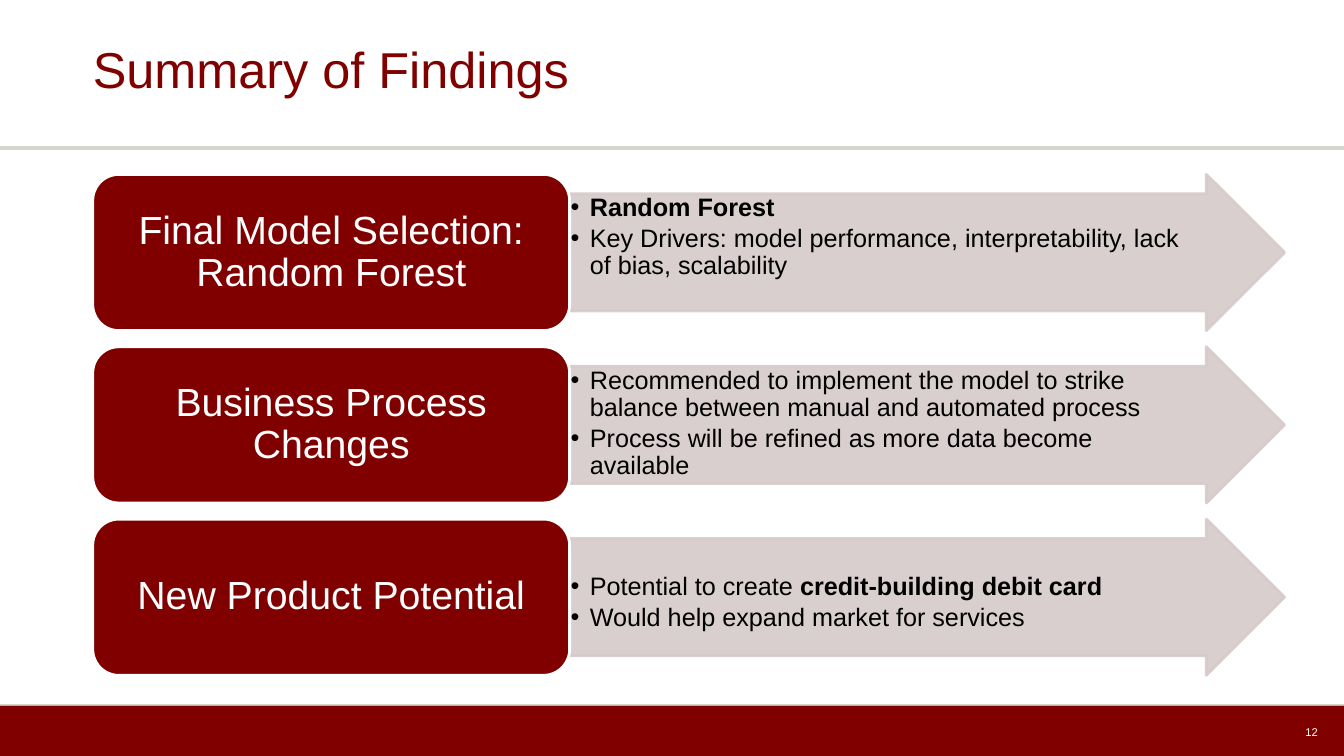
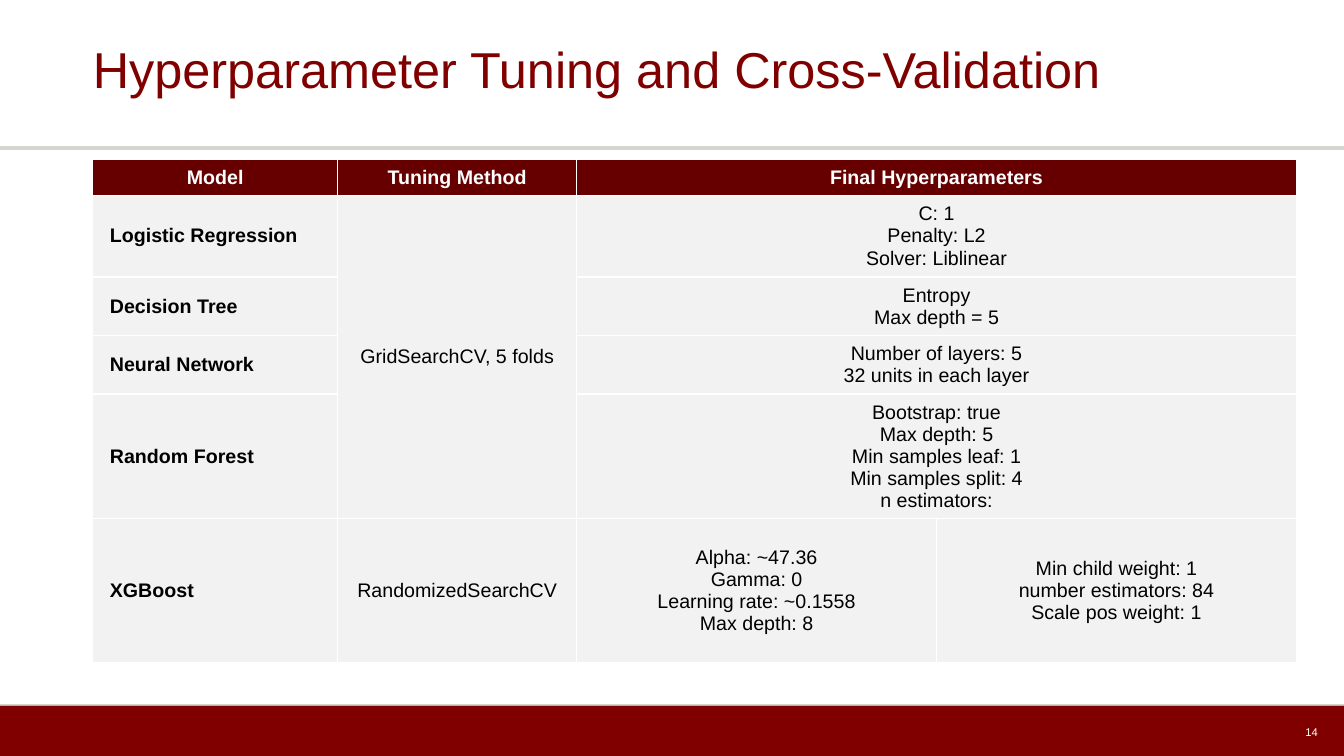
from dataclasses import dataclass
from typing import Any

import lxml.etree
import pptx
import pptx.dml.color
import pptx.enum.shapes
import pptx.enum.text
import pptx.oxml.ns
import pptx.util

Inches = pptx.util.Inches
Pt = pptx.util.Pt
RGB = pptx.dml.color.RGBColor
Align = pptx.enum.text.PP_ALIGN
Anchor = pptx.enum.text.MSO_ANCHOR
Shape = pptx.enum.shapes.MSO_SHAPE
qn = pptx.oxml.ns.qn


@dataclass(frozen=True)
class Theme:
    font: str = "Arial"
    maroon: str = "800000"
    head: str = "660000"
    rule: str = "D6D6CE"
    arrow: str = "D7CACA"
    cell: str = "F2F2F2"
    white: str = "FFFFFF"
    black: str = "000000"
    title: float = 36
    label: float = 28
    point: float = 18
    table: float = 14
    page: float = 8


THEME = Theme()
WIDTH, HEIGHT = 13.33, 7.5
LEFT = 0.92


@dataclass(frozen=True)
class Span:
    text: str
    bold: bool = False


@dataclass(frozen=True)
class Finding:
    label: str
    points: list[list[Span]]
    top: float = 0.01  # inset above the first point


@dataclass(frozen=True)
class Model:
    name: str
    tuning: str
    values: list[list[str]]
    height: float


FINDINGS = [
    Finding("Final Model Selection: Random Forest", [
        [Span("Random Forest", True)],
        [Span("Key Drivers: model performance, interpretability, lack of bias, scalability")],
    ]),
    Finding("Business Process Changes", [
        [Span("Recommended to implement the model to strike balance "
              "between manual and automated process")],
        [Span("Process will be refined as more data become available")],
    ]),
    Finding("New Product Potential", [
        [Span("Potential to create "), Span("credit-building debit card", True)],
        [Span("Would help expand market for services")],
    ], top=0.35),
]

HEADS = ["Model", "Tuning Method", "Final Hyperparameters"]
MODELS = [
    Model("Logistic Regression", "GridSearchCV, 5 folds",
          [["C: 1", "Penalty: L2", "Solver: Liblinear"]], 0.81),
    Model("Decision Tree", "", [["Entropy", "Max depth = 5"]], 0.58),
    Model("Neural Network", "",
          [["Number of layers: 5", "32 units in each layer"]], 0.58),
    Model("Random Forest", "",
          [["Bootstrap: true", "Max depth: 5", "Min samples leaf: 1",
            "Min samples split: 4", "n estimators:"]], 1.24),
    Model("XGBoost", "RandomizedSearchCV",
          [["Alpha: ~47.36", "Gamma: 0", "Learning rate: ~0.1558", "Max depth: 8"],
           ["Min child weight: 1", "number estimators: 84", "Scale pos weight: 1"]], 1.43),
]


def color(code: str) -> RGB:
    return RGB.from_string(code)


def child(node: Any, tag: str, **attrs: str) -> Any:
    return lxml.etree.SubElement(node, qn(tag), attrs)


def add_run(para: Any, span: Span, size: float, ink: str) -> None:
    run = para.add_run()
    run.text = span.text
    run.font.name = THEME.font
    run.font.size = Pt(size)
    run.font.bold = span.bold
    run.font.color.rgb = color(ink)


def set_frame(frame: Any, inset: tuple[float, float, float, float],
              anchor: Any = Anchor.MIDDLE) -> None:
    """Wrap the text and set its left, top, right and bottom insets."""
    frame.word_wrap = True
    frame.auto_size = pptx.enum.text.MSO_AUTO_SIZE.NONE
    frame.vertical_anchor = anchor
    frame.margin_left, frame.margin_top, frame.margin_right, frame.margin_bottom = map(
        Inches, inset)


def add_block(slide: Any, kind: Any, box: tuple[float, float, float, float],
              fill: str, line: str = "") -> Any:
    shape = slide.shapes.add_shape(kind, *map(Inches, box))
    shape.shadow.inherit = False
    shape.fill.solid()
    shape.fill.fore_color.rgb = color(fill)
    if line:
        shape.line.color.rgb = color(line)
        shape.line.width = Pt(2)
    else:
        shape.line.fill.background()
    return shape


def add_rule(slide: Any, y: float, weight: float) -> Any:
    rule = slide.shapes.add_connector(
        pptx.enum.shapes.MSO_CONNECTOR.STRAIGHT,
        Inches(0), Inches(y), Inches(WIDTH), Inches(y))
    rule.line.color.rgb = color(THEME.rule)
    rule.line.width = Pt(weight)
    child(rule.element.spPr, "a:effectLst")
    return rule


def set_layout(slide: Any) -> None:
    """Draw the shared band and rules, then hand them to the layout."""
    band = add_block(slide, Shape.RECTANGLE, (0, 7, WIDTH, 0.5), THEME.maroon)
    for part in (band, add_rule(slide, 6.99, 0.75), add_rule(slide, 1.47, 3)):
        slide.slide_layout.shapes.element.append(part.element)


def add_slide(deck: Any, title: str, page: int) -> Any:
    slide = deck.slides.add_slide(deck.slide_layouts[5])
    if len(deck.slides) == 1:
        set_layout(slide)
    head = slide.shapes.title
    head.left, head.top, head.width, head.height = map(Inches, (LEFT, 0, 11.5, 1.44))
    set_frame(head.text_frame, (0, 0.05, 0, 0.05))
    para = head.text_frame.paragraphs[0]
    para.alignment = Align.LEFT
    para.line_spacing = 0.9
    add_run(para, Span(title), THEME.title, THEME.maroon)

    foot = slide.shapes.add_textbox(*map(Inches, (9.42, 7.06, 3.75, 0.4)))
    set_frame(foot.text_frame, (0.1, 0.05, 0.1, 0.05))
    para = foot.text_frame.paragraphs[0]
    para.alignment = Align.RIGHT
    add_run(para, Span(str(page)), THEME.page, THEME.white)
    return slide


def set_bullet(para: Any) -> None:
    props = para._p.get_or_add_pPr()
    indent = Inches(0.19)
    props.set("marL", str(indent))
    props.set("indent", str(-indent))
    child(child(props, "a:buClr"), "a:srgbClr", val=THEME.black)
    child(props, "a:buFont", typeface=THEME.font)
    child(props, "a:buChar", char="•")


def add_finding(slide: Any, item: Finding, top: float) -> None:
    height, split = 1.55, 4.73
    arrow = add_block(slide, Shape.RIGHT_ARROW, (LEFT + split, top, 7.09, height),
                      THEME.arrow, THEME.arrow)
    arrow.adjustments[0] = 0.75
    for tint in arrow.element.spPr.iter(qn("a:srgbClr")):
        child(tint, "a:alpha", val="90000")
    frame = arrow.text_frame
    set_frame(frame, (0.01, item.top, 0.4, 0.01), Anchor.TOP)
    for i, spans in enumerate(item.points):
        para = frame.add_paragraph() if i else frame.paragraphs[0]
        set_bullet(para)
        para.alignment = Align.LEFT
        para.line_spacing = 0.9
        if i:
            para.space_before = Pt(2.7)
        for span in spans:
            add_run(para, span, THEME.point, THEME.black)

    card = add_block(slide, Shape.ROUNDED_RECTANGLE, (LEFT, top, split, height),
                     THEME.maroon, THEME.white)
    set_frame(card.text_frame, (0.12, 0.06, 0.12, 0.06))
    para = card.text_frame.paragraphs[0]
    para.alignment = Align.CENTER
    para.line_spacing = 0.9
    add_run(para, Span(item.label), THEME.label, THEME.white)


def set_cell(cell: Any, lines: list[str], fill: str, ink: str,
             bold: bool, align: Any) -> None:
    cell.margin_left = cell.margin_right = Inches(0.17)
    cell.margin_top = cell.margin_bottom = Inches(0.07)
    cell.vertical_anchor = Anchor.MIDDLE
    for i, line in enumerate(lines):
        para = cell.text_frame.add_paragraph() if i else cell.text_frame.paragraphs[0]
        para.alignment = align
        add_run(para, Span(line, bold), THEME.table, ink)
    props = cell._tc.get_or_add_tcPr()
    for side in ("a:lnL", "a:lnR", "a:lnT", "a:lnB"):
        edge = child(props, side, w=str(Pt(1)))
        child(child(edge, "a:solidFill"), "a:srgbClr", val=THEME.white)
    cell.fill.solid()
    cell.fill.fore_color.rgb = color(fill)


def add_models(slide: Any) -> None:
    widths = [2.43, 2.37, 3.57, 3.57]
    heights = [0.35] + [model.height for model in MODELS]
    table = slide.shapes.add_table(
        len(heights), len(widths), Inches(LEFT), Inches(1.58),
        Inches(sum(widths)), Inches(sum(heights))).table
    table.horz_banding = False
    for col, width in zip(table.columns, widths):
        col.width = Inches(width)
    for row, height in zip(table.rows, heights):
        row.height = Inches(height)

    texts = [[[head] for head in HEADS]]
    texts += [[[model.name], [model.tuning] if model.tuning else [], *model.values]
              for model in MODELS]
    for r, row in enumerate(texts):
        for c in range(len(widths)):
            lines = row[c] if c < len(row) else []
            first, name = r == 0, c == 0
            set_cell(table.cell(r, c), lines,
                     THEME.head if first else THEME.cell,
                     THEME.white if first else THEME.black,
                     first or name,
                     Align.LEFT if name and not first else Align.CENTER)
        if len(row) < len(widths):
            table.cell(r, 2).merge(table.cell(r, 3))
    table.cell(1, 1).merge(table.cell(4, 1))


def main() -> None:
    deck = pptx.Presentation()
    deck.slide_width, deck.slide_height = Inches(WIDTH), Inches(HEIGHT)

    slide = add_slide(deck, "Summary of Findings", 12)
    for i, item in enumerate(FINDINGS):
        add_finding(slide, item, 1.73 + 1.71 * i)

    slide = add_slide(deck, "Hyperparameter Tuning and Cross-Validation", 14)
    add_models(slide)
    deck.save("out.pptx")


if __name__ == "__main__":
    main()
